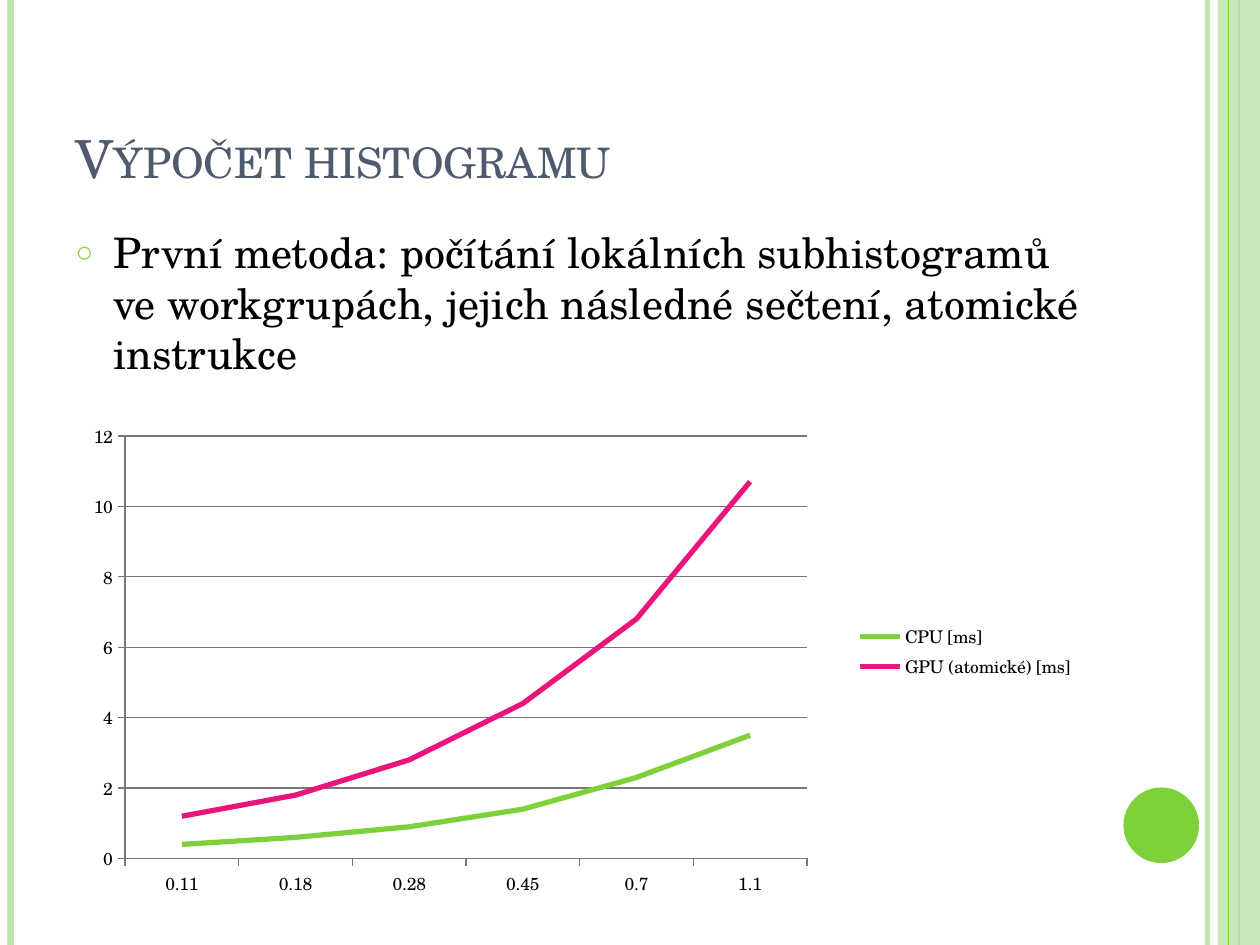
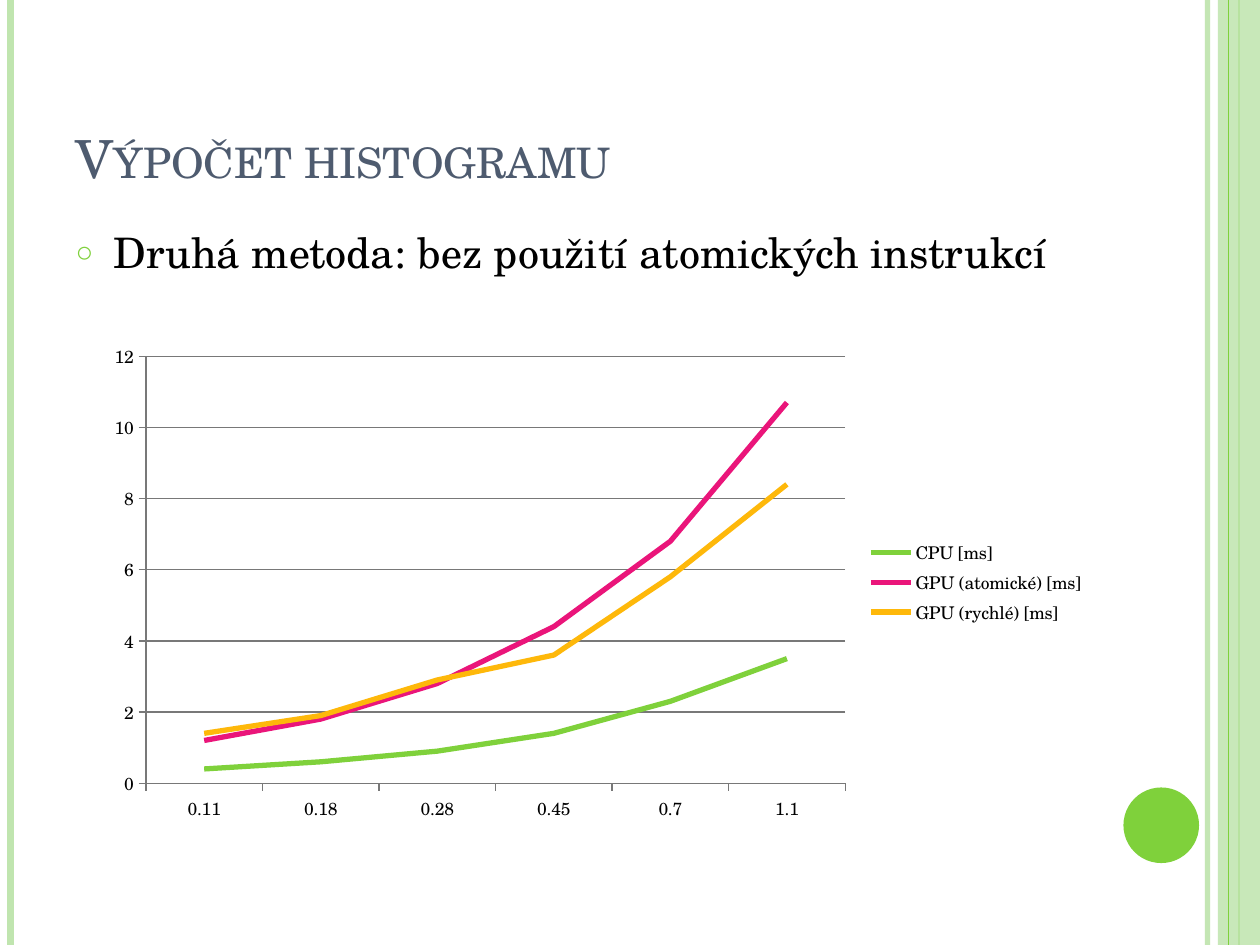
from dataclasses import dataclass

import lxml.etree
import pptx
import pptx.chart.data
import pptx.dml.color
import pptx.enum.chart
import pptx.enum.shapes
import pptx.enum.text
import pptx.oxml
import pptx.oxml.ns
import pptx.util

# Shared look
FONT = "TeX Gyre Schola"
GREEN, PALE_GREEN, PINK, AMBER = "7FD13B", "C0E5AF", "EA157A", "FEB80A"
SLATE, BLACK, AXIS_GREY = "4E5B6F", "000000", "787878"

# Grid of 120 columns by 90 rows
WIDTH, HEIGHT = pptx.util.Inches(10), pptx.util.Inches(7.5)
COLUMNS, ROWS = 120, 90


@dataclass(frozen=True)
class Box:
    column: float
    row: float
    columns: float
    rows: float

    def place(self) -> tuple[int, int, int, int]:
        return (round(self.column * WIDTH / COLUMNS), round(self.row * HEIGHT / ROWS),
                round(self.columns * WIDTH / COLUMNS), round(self.rows * HEIGHT / ROWS))


@dataclass(frozen=True)
class Stripe:
    column: float
    color: str
    weight: float
    opacity: int = 100


@dataclass(frozen=True)
class Panel:
    preset: pptx.enum.shapes.MSO_SHAPE
    box: Box
    color: str
    opacity: int = 100


@dataclass(frozen=True)
class Timing:
    name: str
    color: str
    milliseconds: tuple[float, ...]


@dataclass(frozen=True)
class Method:
    summary: str
    chart_box: Box
    timings: tuple[Timing, ...]
    plot_area: tuple[float, float, float, float] | None = None


TITLE = "Výpočet histogramu"
TITLE_BOX = Box(6, 3.6, 98, 15)
BODY_BOX = Box(6, 21, 98, 64)

DECORATION = (
    Stripe(115, PALE_GREEN, 3, 93),
    Stripe(1, PALE_GREEN, 4.5),
    Stripe(118, GREEN, 1.5),
    Panel(pptx.enum.shapes.MSO_SHAPE.RECTANGLE, Box(116, 0, 4, ROWS), PALE_GREEN, 87),
    Stripe(117, GREEN, 0.75),
    Panel(pptx.enum.shapes.MSO_SHAPE.OVAL, Box(107, 75, 7.2, 7.2), GREEN),
)

SIZES = ("0.11", "0.18", "0.28", "0.45", "0.7", "1.1")
CPU = Timing("CPU [ms]", GREEN, (0.4, 0.6, 0.9, 1.4, 2.3, 3.5))
ATOMIC = Timing("GPU (atomické) [ms]", PINK, (1.2, 1.8, 2.8, 4.4, 6.8, 10.7))
FAST = Timing("GPU (rychlé) [ms]", AMBER, (1.4, 1.9, 2.9, 3.6, 5.8, 8.4))

METHODS = (
    Method("První metoda: počítání lokálních subhistogramů ve workgrupách, "
           "jejich následné sečtení, atomické instrukce",
           Box(8, 38.4, 95.5, 47.3), (CPU, ATOMIC), (0.041, 0.066, 0.68, 0.851)),
    Method("Druhá metoda: bez použití atomických instrukcí",
           Box(9, 31.8, 95.5, 47.3), (CPU, ATOMIC, FAST)),
)


def paint(color_format, color: str) -> None:
    color_format.rgb = pptx.dml.color.RGBColor.from_string(color)


def add_child(parent, tag: str, **attributes: str):
    child = lxml.etree.SubElement(parent, pptx.oxml.ns.qn(tag))
    for key, value in attributes.items():
        child.set(key, value)
    return child


def set_opacity(element, percent: int) -> None:
    if percent < 100:
        add_child(element.xpath(".//a:srgbClr")[0], "a:alpha", val=str(percent * 1000))


def draw_stripe(shapes, stripe: Stripe):
    x, top, _, length = Box(stripe.column, 0, 0, ROWS).place()
    line = shapes.add_connector(pptx.enum.shapes.MSO_CONNECTOR.STRAIGHT, x, top, x, length)
    paint(line.line.color, stripe.color)
    line.line.width = pptx.util.Pt(stripe.weight)
    set_opacity(line.line._ln, stripe.opacity)
    add_child(line.element.spPr, "a:effectLst")
    return line


def draw_panel(shapes, panel: Panel):
    shape = shapes.add_shape(panel.preset, *panel.box.place())
    shape.shadow.inherit = False
    shape.fill.solid()
    paint(shape.fill.fore_color, panel.color)
    set_opacity(shape.element.spPr, panel.opacity)
    shape.line.fill.background()
    return shape


def decorate_layout(layout, slide) -> None:
    """Draw the side bands and disc, then move them behind the layout's placeholders."""
    for index, part in enumerate(DECORATION):
        draw = draw_stripe if isinstance(part, Stripe) else draw_panel
        element = draw(slide.shapes, part).element
        element.xpath(".//p:cNvPr")[0].set("id", str(100 + index))
        layout.shapes.element.insert(2 + index, element)


def write(placeholder, box: Box, text: str, size: float, color: str):
    placeholder.left, placeholder.top, placeholder.width, placeholder.height = box.place()
    frame = placeholder.text_frame
    frame.word_wrap = True
    frame.auto_size = pptx.enum.text.MSO_AUTO_SIZE.NONE
    paragraph = frame.paragraphs[0]
    paragraph.alignment = pptx.enum.text.PP_ALIGN.LEFT
    run = paragraph.add_run()
    run.text = text
    run.font.name, run.font.size = FONT, pptx.util.Pt(size)
    paint(run.font.color, color)
    return paragraph, run


def write_title(slide) -> None:
    _, run = write(slide.shapes.title, TITLE_BOX, TITLE, 30, SLATE)
    run.font._element.set("cap", "small")
    slide.shapes.title.text_frame.vertical_anchor = pptx.enum.text.MSO_ANCHOR.BOTTOM


def write_summary(slide, summary: str) -> None:
    paragraph, _ = write(slide.placeholders[1], BODY_BOX, summary, 24, BLACK)
    paragraph.space_before = pptx.util.Pt(6)
    properties = paragraph._p.get_or_add_pPr()
    indent = pptx.util.Inches(0.3)
    properties.set("marL", str(indent))
    properties.set("indent", str(-indent))
    add_child(add_child(properties, "a:buClr"), "a:srgbClr", val=GREEN)
    add_child(properties, "a:buSzPct", val="70000")
    add_child(properties, "a:buChar", char="○")


def fix_plot_area(chart, plot_area: tuple[float, float, float, float]) -> None:
    area = chart._chartSpace.chart.plotArea
    for old in area.xpath("./c:layout"):
        area.remove(old)
    layout = add_child(area, "c:layout")
    area.insert(0, layout)
    manual = add_child(layout, "c:manualLayout")
    add_child(manual, "c:layoutTarget", val="inner")
    for side in "xy":
        add_child(manual, f"c:{side}Mode", val="edge")
    for side, share in zip("xywh", plot_area):
        add_child(manual, f"c:{side}", val=str(share))


def style_line(line, color: str, weight: float) -> None:
    paint(line.color, color)
    line.width = pptx.util.Pt(weight)


def draw_chart(slide, method: Method) -> None:
    data = pptx.chart.data.CategoryChartData()
    data.categories = SIZES
    for timing in method.timings:
        data.add_series(timing.name, timing.milliseconds)
    chart = slide.shapes.add_chart(
        pptx.enum.chart.XL_CHART_TYPE.LINE, *method.chart_box.place(), data).chart
    chart.has_title = False
    chart.font.name, chart.font.size = FONT, pptx.util.Pt(10)
    paint(chart.font.color, BLACK)

    # Legend
    chart.has_legend = True
    chart.legend.position = pptx.enum.chart.XL_LEGEND_POSITION.RIGHT
    chart.legend.include_in_layout = False

    # Axes
    for axis in (chart.category_axis, chart.value_axis):
        axis.major_tick_mark = pptx.enum.chart.XL_TICK_MARK.OUTSIDE
        axis.minor_tick_mark = pptx.enum.chart.XL_TICK_MARK.NONE
        style_line(axis.format.line, AXIS_GREY, 0.75)
    times = chart.value_axis
    times.minimum_scale, times.maximum_scale, times.major_unit = 0, 12, 2
    times.has_major_gridlines = True
    style_line(times.major_gridlines.format.line, AXIS_GREY, 0.75)

    # Series
    chart.plots[0].vary_by_categories = False
    for series, timing in zip(chart.plots[0].series, method.timings):
        series.smooth = False
        series.marker.style = pptx.enum.chart.XL_MARKER_STYLE.NONE
        style_line(series.format.line, timing.color, 3)
    if method.plot_area:
        fix_plot_area(chart, method.plot_area)


def main() -> None:
    deck = pptx.Presentation()
    deck.slide_width, deck.slide_height = WIDTH, HEIGHT
    layout = deck.slide_layouts[1]
    for number, method in enumerate(METHODS):
        slide = deck.slides.add_slide(layout)
        if number == 0:
            decorate_layout(layout, slide)
        write_title(slide)
        write_summary(slide, method.summary)
        draw_chart(slide, method)
    deck.save("out.pptx")


if __name__ == "__main__":
    main()
